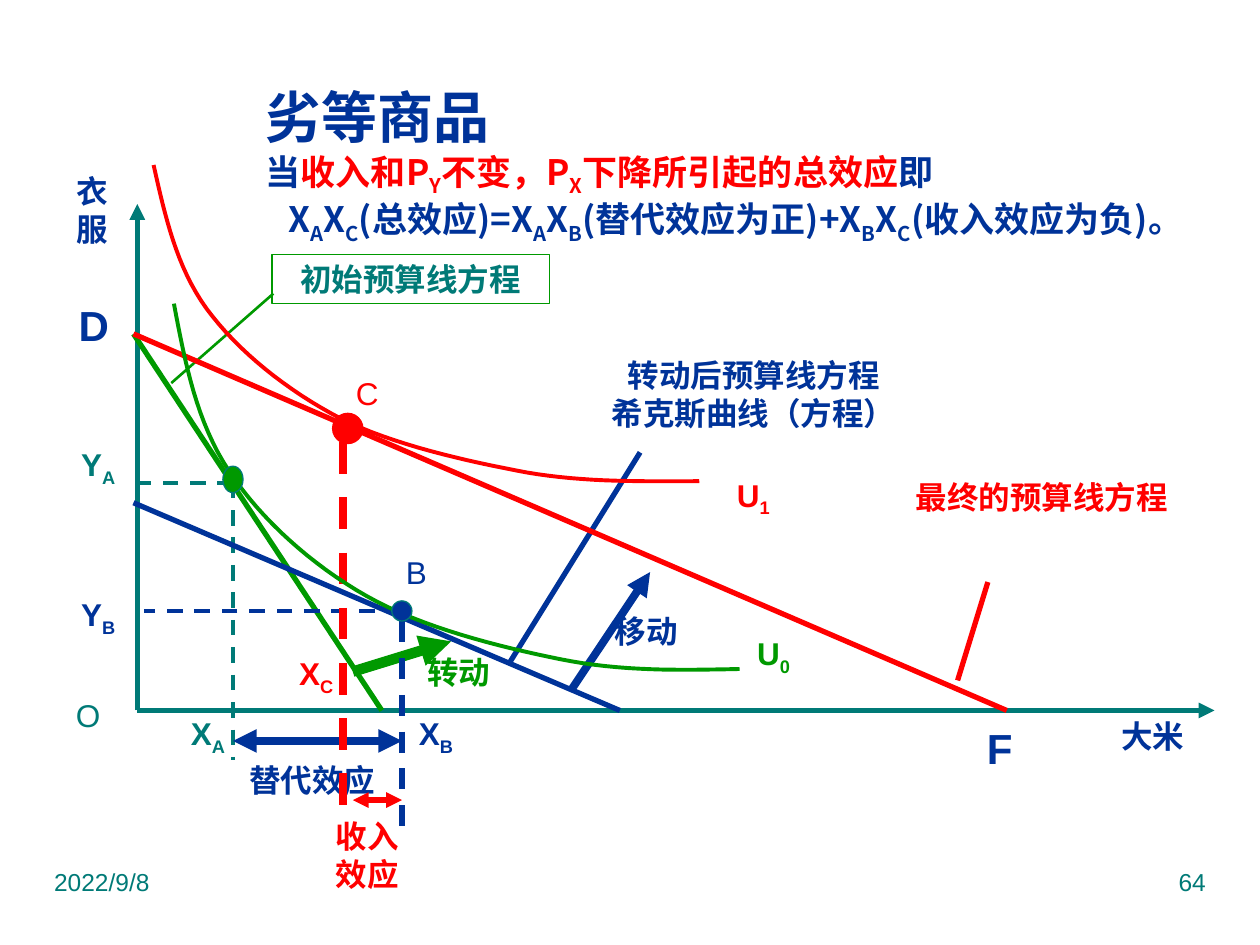
from lxml import etree
from pptx import Presentation
from pptx import util as u
from pptx.dml.color import RGBColor
from pptx.enum import dml, shapes, text
from pptx.oxml.ns import qn

COLORS = {"teal": "007A77", "blue": "003399", "red": "FF0000", "green": "009900"}
CJK_FONT = "Noto Sans CJK SC"
LEFT, CENTER, RIGHT = text.PP_ALIGN.LEFT, text.PP_ALIGN.CENTER, text.PP_ALIGN.RIGHT

# Shared positions on the diagram, in points
ORIGIN_X, ORIGIN_Y = 78.5, 406
LINE_X, D_Y = 76.3, 190.8
XA, XB, XC = 133.2, 229.7, 195.8
SMALL = (38.9, 28.1)
BIG = (39.6, 33.8)

# Start, end, colour, width, dashed, arrow ends
LINES = [
    # Axes
    ((ORIGIN_X, ORIGIN_Y), (694, ORIGIN_Y), "teal", 3, False, ("tail",)),
    ((ORIGIN_X, ORIGIN_Y), (ORIGIN_X, 116.6), "teal", 3, False, ("tail",)),
    # First budget line, its guides, rotation and callout
    ((LINE_X, D_Y), (218.2, ORIGIN_Y), "green", 3, False, ()),
    ((XA, 275.8), (LINE_X, 275.8), "teal", 2.25, True, ()),
    ((XA, 275.8), (XA, 434.2), "teal", 2.25, True, ()),
    ((201.6, 383.8), (257.8, 366.5), "green", 6, False, ("tail",)),
    ((97.9, 218.9), (156.2, 167.8), "green", 1.5, False, ()),
    # Rotated budget line, its guides, shift and callout
    ((LINE_X, 287.3), (354.2, ORIGIN_Y), "blue", 3, False, ()),
    ((XB, 355), (XB, 474.5), "blue", 3, True, ()),
    ((XB, 349.2), (82.1, 349.2), "blue", 2.25, True, ()),
    ((XA, 423.4), (XB, 423.4), "blue", 4.5, False, ("head", "tail")),
    ((326.2, 394.6), (371.5, 326.9), "blue", 4.5, False, ("tail",)),
    ((291.6, 378), (365.8, 258.5), "blue", 3, False, ()),
    # Final budget line, its guide, income effect and callout
    ((LINE_X, D_Y), (575.3, ORIGIN_Y), "red", 3, False, ()),
    ((XC, 252.7), (XC, 463), "red", 4.5, True, ()),
    ((201.6, 457.2), (XB, 457.2), "red", 3, False, ("head", "tail")),
    ((547.2, 388.8), (564.5, 332.6), "red", 3, False, ()),
]

# Bezier points: start, then two handles and an end for each segment
CURVES = [
    ("green", [(99.4, 173.5), (105.8, 207.4), (112.3, 241.2), (131, 269.3),
               (149, 296.6), (177.8, 322.6), (209.5, 340.6),
               (241.2, 358.6), (284.4, 369.4), (319.7, 376.6),
               (355, 383.8), (388.8, 383), (422.6, 382.3)]),
    ("red", [(87.8, 94.3), (94.3, 123.1), (100.8, 152.6), (118.1, 176.4),
             (136.1, 200.9), (164.2, 223.2), (194.4, 239),
             (224.6, 254.2), (266.4, 263.5), (301, 270),
             (334.8, 275.8), (367.2, 275), (399.6, 275)]),
]

# Left, top, width, height, fill, outline
DOTS = [
    (127.4, 266.4, 11.5, 15.1, "green", "teal"),
    (223.9, 343.4, 11.5, 11.5, "blue", "teal"),
    (190.1, 236.2, 17.3, 17.3, "red", "red"),
]

# Text, left, top, size, colour, font size, bold; "_" lowers the next letter
LABELS = [
    ("大米", 604.1, 411.8, (109.4, 17.3), "blue", 18, True),
    ("衣服", 33.1, 105.8, SMALL, "blue", 18, True),
    ("X_A", 99.4, 406.1, SMALL, "teal", 18, True),
    ("X_B", 229.7, 406.1, SMALL, "blue", 18, True),
    ("X_C", 161.3, 372.2, SMALL, "red", 18, True),
    ("Y_A", 36.7, 252.7, SMALL, "teal", 18, True),
    ("Y_B", 36.7, 338.4, SMALL, "blue", 18, True),
    ("U_0", 422.6, 360.7, SMALL, "green", 18, True),
    ("U_1", 411.1, 270, SMALL, "red", 18, True),
    ("O", 31, 394.6, SMALL, "teal", 18, False),
    ("B", 212.4, 315.4, (51.1, 23), "blue", 18, False),
    ("C", 195.8, 207.4, (28.1, 33.8), "red", 18, False),
    ("D", 33.8, 168.5, BIG, "blue", 24, True),
    ("F", 551.5, 410.4, BIG, "blue", 24, True),
    ("转动", 229.7, 372.2, (64.8, 23), "green", 18, True),
    ("移动", 337, 349.2, (64.8, 23), "blue", 18, True),
    ("替代效应", 127.4, 434.2, (102.2, 22.3), "blue", 18, True),
    ("收入\n效应", 184.3, 474.5, (51.1, 28.1), "red", 18, True),
    ("转动后预算线方程\n希克斯曲线（方程）", 337, 196.6, (187.2, 56.9), "blue", 18, True),
    ("最终的预算线方程", 501.8, 270, (187.2, 28.1), "red", 18, True),
]


def rgb(name):
    return RGBColor.from_string(COLORS[name])


def add_spans(para, marked, color, size, bold, font="Arial"):
    """Add runs; the letter after each "_" becomes a subscript."""
    first, *rest = marked.split("_")
    pieces = [(first, False)]
    for piece in rest:
        pieces += [(piece[0], True), (piece[1:], False)]
    for words, lowered in pieces:
        if not words:
            continue
        span = para.add_run()
        span.text = words
        span.font.size, span.font.bold = u.Pt(size), bold
        span.font.name = font
        span.font.color.rgb = rgb(color)
        props = span.font._element
        etree.SubElement(props, qn("a:ea")).set("typeface", CJK_FONT)
        if lowered:
            props.set("baseline", "-25000")


def fill_text(frame, words, color, size, bold, align):
    for index, line in enumerate(words.split("\n")):
        para = frame.add_paragraph() if index else frame.paragraphs[0]
        para.alignment = align
        add_spans(para, line, color, size, bold)


def add_label(page, words, left, top, extent, color, size, bold):
    box = page.shapes.add_textbox(*map(u.Pt, (left, top, *extent)))
    box.text_frame.word_wrap = False
    box.text_frame.vertical_anchor = text.MSO_ANCHOR.MIDDLE
    fill_text(box.text_frame, words, color, size, bold, CENTER)


def add_footer(page, words, left, align):
    box = page.shapes.add_textbox(*map(u.Pt, (left, 491.8, 180, 37.4)))
    box.text_frame.word_wrap = True
    fill_text(box.text_frame, words, "teal", 14, False, align)


def add_line(page, start, end, color, width, dashed, arrows):
    line = page.shapes.add_connector(
        shapes.MSO_CONNECTOR.STRAIGHT, *map(u.Pt, (*start, *end)))
    line.line.color.rgb, line.line.width = rgb(color), u.Pt(width)
    if dashed:
        line.line.dash_style = dml.MSO_LINE.DASH
    for side in arrows:
        etree.SubElement(line.line._get_or_add_ln(), qn(f"a:{side}End")).set("type", "triangle")
    etree.SubElement(line._element.spPr, qn("a:effectLst"))


def bezier(points, steps=16):
    """Points along a chain of cubic segments, without the start."""
    for first in range(0, len(points) - 1, 3):
        corners = points[first:first + 4]
        for step in range(1, steps + 1):
            t = step / steps
            weights = ((1 - t) ** 3, 3 * t * (1 - t) ** 2, 3 * t * t * (1 - t), t ** 3)
            yield tuple(u.Pt(sum(w * p[axis] for w, p in zip(weights, corners)))
                        for axis in (0, 1))


def add_curve(page, color, points):
    builder = page.shapes.build_freeform(*map(u.Pt, points[0]))
    builder.add_line_segments(bezier(points), close=False)
    curve = builder.convert_to_shape()
    curve.shadow.inherit = False
    curve.fill.background()
    curve.line.color.rgb, curve.line.width = rgb(color), u.Pt(2.25)


def add_preset(page, kind, left, top, width, height, fill, outline):
    shape = page.shapes.add_shape(kind, *map(u.Pt, (left, top, width, height)))
    shape.shadow.inherit = False
    if fill:
        shape.fill.solid()
        shape.fill.fore_color.rgb = rgb(fill)
    else:
        shape.fill.background()
    shape.line.color.rgb, shape.line.width = rgb(outline), u.Pt(0.75)
    return shape


def add_title(page):
    title = page.shapes.title
    title.left, title.top, title.width, title.height = map(u.Pt, (144.7, 48.2, 555.8, 91.4))
    frame = title.text_frame
    frame.auto_size = text.MSO_AUTO_SIZE.NONE
    frame.word_wrap = True
    frame.vertical_anchor = text.MSO_ANCHOR.MIDDLE
    heading, formula = frame.paragraphs[0], frame.add_paragraph()
    heading.alignment = formula.alignment = LEFT
    add_spans(heading, "劣等商品", "blue", 32, True, CJK_FONT)
    heading.add_line_break()
    for words, color in (("当", "blue"), ("收入和P_Y不变，P_X下降所引起的总效应", "red"),
                         ("即", "blue")):
        add_spans(heading, words, color, 20, True, CJK_FONT)
    # First-line indent of the formula
    formula._p.get_or_add_pPr().set("indent", str(u.Pt(13)))
    add_spans(formula, "X_AX_C(总效应)=X_AX_B(替代效应为正)+X_BX_C(收入效应为负)。",
              "blue", 20, True, CJK_FONT)


def main():
    deck = Presentation()
    deck.slide_width, deck.slide_height = u.Pt(720), u.Pt(540)
    page = deck.slides.add_slide(deck.slide_layouts[5])

    # Title and footer
    add_title(page)
    add_footer(page, "2022/9/8", 23.8, LEFT)
    add_footer(page, "64", 516.2, RIGHT)

    # Labels lie beneath the lines
    for label in LABELS:
        add_label(page, *label)
    callout = add_preset(page, shapes.MSO_SHAPE.RECTANGLE,
                         155.5, 145.4, 158.4, 28.1, None, "green")
    callout.text_frame.word_wrap = False
    fill_text(callout.text_frame, "初始预算线方程", "teal", 18, True, CENTER)

    # Diagram
    for line in LINES:
        add_line(page, *line)
    for curve in CURVES:
        add_curve(page, *curve)
    for dot in DOTS:
        add_preset(page, shapes.MSO_SHAPE.OVAL, *dot)

    deck.save("out.pptx")


if __name__ == "__main__":
    main()
